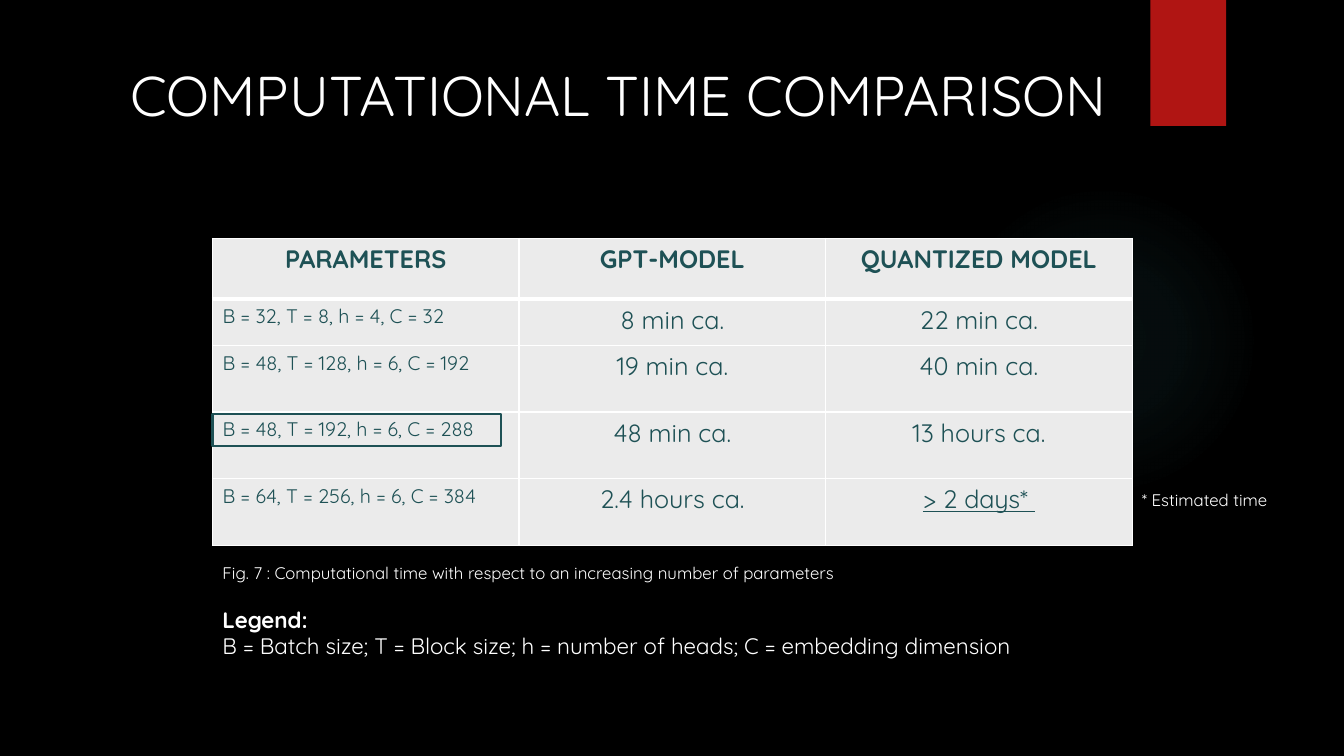
from lxml.etree import SubElement
from pptx import Presentation
from pptx.dml.color import RGBColor
from pptx.enum.shapes import MSO_SHAPE as Shape
from pptx.enum.text import PP_ALIGN as Align
from pptx.oxml import parse_xml
from pptx.oxml.ns import nsdecls, qn
from pptx.util import Pt

WHITE, TEAL, GREY, RED, GLOW = "FFFFFF", "1E5155", "EBEBEB", "B01513", "50B9C1"


def color(hex_code):
    return RGBColor.from_string(hex_code)


class SlideBuilder:
    font = "Quicksand"

    def __init__(self, deck, background):
        self.slide = deck.slides.add_slide(deck.slide_layouts[6])
        fill = self.slide.background.fill
        fill.solid()
        fill.fore_color.rgb = color(background)

    def add_run(self, paragraph, text, size, ink, bold=False, underline=False, align=Align.LEFT):
        paragraph.alignment = align
        run = paragraph.add_run()
        run.text = text
        run.font.name = self.font
        run.font.size = Pt(size)
        run.font.bold = bold
        run.font.underline = underline
        run.font.color.rgb = color(ink)

    def text(self, box, lines, size, align=Align.LEFT):
        """Add a white text box; lines are (text, bold) pairs."""
        frame = self.slide.shapes.add_textbox(*map(Pt, box)).text_frame
        frame.word_wrap = True
        for index, (line, bold) in enumerate(lines):
            paragraph = frame.add_paragraph() if index else frame.paragraphs[0]
            self.add_run(paragraph, line, size, WHITE, bold, align=align)

    def shape(self, kind, box, fill=None, line=None, width=1.5):
        shape = self.slide.shapes.add_shape(kind, *map(Pt, box))
        shape.shadow.inherit = False
        if fill:
            shape.fill.solid()
            shape.fill.fore_color.rgb = color(fill)
        else:
            shape.fill.background()
        if line:
            shape.line.color.rgb = color(line)
            shape.line.width = Pt(width)
        else:
            shape.line.fill.background()
        return shape

    def glow(self, box, hue, stops):
        """Add a circle fading outwards; stops are (position, opacity) in percent."""
        props = self.shape(Shape.OVAL, box).element.spPr
        marks = "".join(
            f'<a:gs pos="{place * 1000}"><a:srgbClr val="{hue}">'
            f'<a:alpha val="{opacity * 1000}"/></a:srgbClr></a:gs>'
            for place, opacity in stops)
        gradient = parse_xml(
            f'<a:gradFill {nsdecls("a")} rotWithShape="1"><a:gsLst>{marks}</a:gsLst>'
            '<a:path path="circle"><a:fillToRect l="50000" t="50000" r="50000" b="50000"/>'
            '</a:path></a:gradFill>')
        props.replace(props.find(qn("a:noFill")), gradient)

    def border(self, cell, widths):
        """Draw white cell borders; widths maps L, R, T and B to points."""
        props = cell._tc.get_or_add_tcPr()
        for index, (side, width) in enumerate(widths.items()):
            line = SubElement(props, qn(f"a:ln{side}"), w=str(Pt(width)))
            fill = SubElement(line, qn("a:solidFill"))
            SubElement(fill, qn("a:srgbClr"), val=WHITE)
            props.insert(index, line)

    def table(self, left, top, column_width, row_heights, rows):
        columns = len(rows[0])
        table = self.slide.shapes.add_table(
            len(rows), columns, Pt(left), Pt(top),
            Pt(column_width * columns), Pt(sum(row_heights))).table
        for column in table.columns:
            column.width = Pt(column_width)
        for r, (row, height) in enumerate(zip(rows, row_heights)):
            table.rows[r].height = Pt(height)
            for c, value in enumerate(row):
                cell = table.cell(r, c)
                cell.fill.solid()
                cell.fill.fore_color.rgb = color(GREY)
                self.border(cell, {"L": 1, "R": 1, "T": 3 if r == 1 else 1, "B": 3 if r == 0 else 1})
                is_parameter = r > 0 and c == 0
                self.add_run(cell.text_frame.paragraphs[0], value, 14 if is_parameter else 18, TEAL,
                             bold=r == 0, underline=value.startswith(">"),
                             align=Align.LEFT if is_parameter else Align.CENTER)


TIMES = [
    ("PARAMETERS", "GPT-MODEL", "QUANTIZED MODEL"),
    ("B = 32, T = 8, h = 4, C = 32", "8 min ca.", "22 min ca."),
    ("B = 48, T = 128, h = 6, C = 192", "19 min ca.", "40 min ca."),
    ("B = 48, T = 192, h = 6, C = 288", "48 min ca.", "13 hours ca."),
    ("B = 64, T = 256, h = 6, C = 384", "2.4 hours ca.", "> 2 days* "),
]


def main():
    deck = Presentation()
    deck.slide_width, deck.slide_height = Pt(960), Pt(540)
    page = SlideBuilder(deck, "000000")
    left = 151.8

    page.glow((677.5, 131.8, 221.8, 221.8), GLOW, [(0, 7), (36, 6), (69, 0)])
    page.shape(Shape.RECTANGLE, (821.8, 0, 54, 90), fill=RED)
    page.text((71.3, 39.6, 740.9, 64), [("COMPUTATIONAL TIME COMPARISON", False)], 40, Align.CENTER)
    page.table(left, 170.4, 219, [43.2, 33.1, 47.6, 47.6, 47.6], TIMES)
    page.text((left, 429.1, 656.6, 46), [
        ("Legend:", True),
        ("B = Batch size; T = Block size; h = number of heads; C = embedding dimension", False),
    ], 16)
    page.shape(Shape.RECTANGLE, (left, 295.9, 206, 23), line=TEAL)
    page.text((808.6, 346.3, 149.8, 21.8), [("* Estimated time", False)], 12)
    page.text((left, 398.2, 541.4, 21.8), [
        ("Fig. 7 : Computational time with respect to an increasing number of parameters", False),
    ], 12)
    deck.save("out.pptx")


if __name__ == "__main__":
    main()
